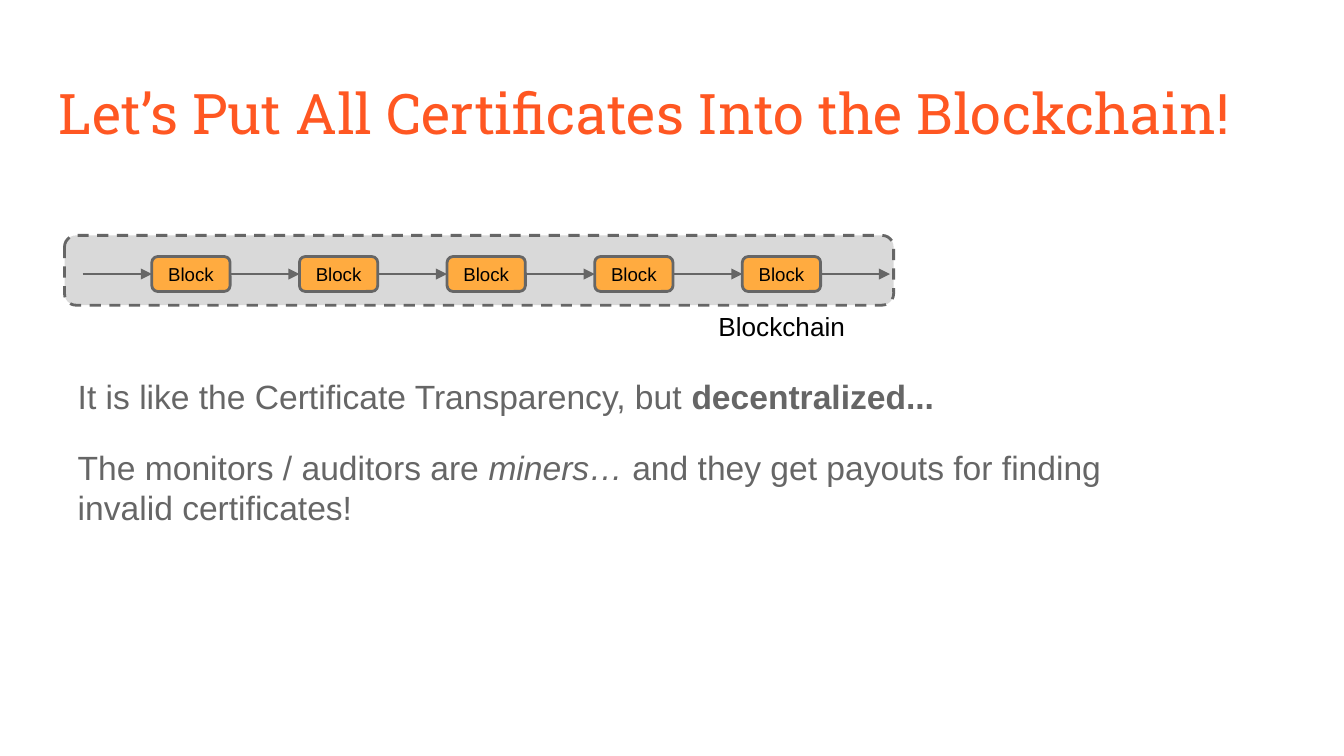
from dataclasses import dataclass

from lxml import etree
from pptx import Presentation
from pptx.dml.color import RGBColor
from pptx.enum.dml import MSO_LINE
from pptx.enum.shapes import MSO_CONNECTOR, MSO_SHAPE
from pptx.enum.text import MSO_ANCHOR, PP_ALIGN
from pptx.oxml.ns import qn
from pptx.util import Cm, Pt

ROUNDED = MSO_SHAPE.ROUNDED_RECTANGLE
STRAIGHT = MSO_CONNECTOR.STRAIGHT
DASH = MSO_LINE.DASH
TOP, MIDDLE, BOTTOM = MSO_ANCHOR.TOP, MSO_ANCHOR.MIDDLE, MSO_ANCHOR.BOTTOM
LEFT, CENTER = PP_ALIGN.LEFT, PP_ALIGN.CENTER


@dataclass(frozen=True)
class Theme:
    accent: str = "FF5722"
    gray: str = "666666"
    black: str = "000000"
    panel: str = "D9D9D9"
    block: str = "FFAB40"
    title_font: str = "Roboto Slab"
    body_font: str = "Arial"
    title_size: int = 30
    body_size: int = 18
    caption_size: int = 14
    block_size: int = 10
    outline: float = 1.5
    arrow: float = 0.75


THEME = Theme()


@dataclass(frozen=True)
class Area:
    """Position and size in centimetres."""
    left: float
    top: float
    width: float
    height: float

    def lengths(self) -> list:
        return [Cm(n) for n in (self.left, self.top, self.width, self.height)]


@dataclass(frozen=True)
class Span:
    text: str
    bold: bool = False
    italic: bool = False


@dataclass(frozen=True)
class Label:
    spans: tuple
    size: int
    color: str
    font: str = THEME.body_font
    align: int = LEFT
    anchor: int = TOP


def write(box, label: Label) -> None:
    frame = box.text_frame
    margins = dict.fromkeys(
        ("margin_left", "margin_top", "margin_right", "margin_bottom"), Cm(0.25))
    frame_format = {"word_wrap": True, "vertical_anchor": label.anchor, **margins}
    for name, value in frame_format.items():
        setattr(frame, name, value)
    para = frame.paragraphs[0]
    para.alignment = label.align
    for span in label.spans:
        run = para.add_run()
        run.text = span.text
        font_format = {"name": label.font, "size": Pt(label.size),
                       "bold": span.bold, "italic": span.italic}
        for name, value in font_format.items():
            setattr(run.font, name, value)
        run.font.color.rgb = RGBColor.from_string(label.color)


def add_text(page, area: Area, label: Label) -> None:
    write(page.shapes.add_textbox(*area.lengths()), label)


def add_rounded(page, area: Area, fill: str):
    box = page.shapes.add_shape(ROUNDED, *area.lengths())
    box.shadow.inherit = False
    box.fill.solid()
    box.fill.fore_color.rgb = RGBColor.from_string(fill)
    box.line.color.rgb = RGBColor.from_string(THEME.gray)
    box.line.width = Pt(THEME.outline)
    return box


def add_arrow(page, start: float, end: float, height: float) -> None:
    arrow = page.shapes.add_connector(
        STRAIGHT, Cm(start), Cm(height), Cm(end), Cm(height))
    arrow.line.color.rgb = RGBColor.from_string(THEME.gray)
    arrow.line.width = Pt(THEME.arrow)
    etree.SubElement(arrow.line._get_or_add_ln(), qn("a:tailEnd"), type="triangle")
    etree.SubElement(arrow._element.spPr, qn("a:effectLst"))


# Chain layout
BLOCK_COUNT = 5
FIRST_BLOCK = Area(2.87, 4.85, 1.48, 0.66)
BLOCK_STEP = 2.79
ARROW_LENGTH = BLOCK_STEP - FIRST_BLOCK.width
BLOCK_LABEL = Label((Span("Block"),), THEME.block_size, THEME.black,
                    align=CENTER, anchor=MIDDLE)

# Wording
TEXTS = (
    (Area(0.86, 1.24, 23.67, 1.6),
     Label((Span("Let’s Put All Certificates Into the Blockchain!"),),
           THEME.title_size, THEME.accent, THEME.title_font)),
    (Area(11.56, 6.05, 6.43, 0.66),
     Label((Span("Blockchain"),), THEME.caption_size, THEME.black,
           align=CENTER, anchor=BOTTOM)),
    (Area(1.22, 6.86, 20.04, 1.32),
     Label((Span("It is like the Certificate Transparency, but "),
            Span("decentralized...", bold=True)),
           THEME.body_size, THEME.gray)),
    (Area(1.22, 8.2, 20.04, 1.32),
     Label((Span("The monitors / auditors are "),
            Span("miners… ", italic=True),
            Span("and they get payouts for finding invalid certificates!")),
           THEME.body_size, THEME.gray)),
)


def draw_chain(page) -> None:
    panel = add_rounded(page, Area(1.22, 4.45, 15.67, 1.32), THEME.panel)
    panel.line.dash_style = DASH
    middle = FIRST_BLOCK.top + FIRST_BLOCK.height / 2
    # One arrow enters each block, and one more leaves the last
    for index in range(BLOCK_COUNT + 1):
        left = FIRST_BLOCK.left + index * BLOCK_STEP
        add_arrow(page, left - ARROW_LENGTH, left, middle)
        if index < BLOCK_COUNT:
            area = Area(left, FIRST_BLOCK.top, FIRST_BLOCK.width, FIRST_BLOCK.height)
            write(add_rounded(page, area, THEME.block), BLOCK_LABEL)


def main() -> None:
    deck = Presentation()
    deck.slide_width, deck.slide_height = Cm(25.4), Cm(14.29)
    page = deck.slides.add_slide(deck.slide_layouts[6])
    draw_chain(page)
    for area, label in TEXTS:
        add_text(page, area, label)
    deck.save("out.pptx")


if __name__ == "__main__":
    main()
